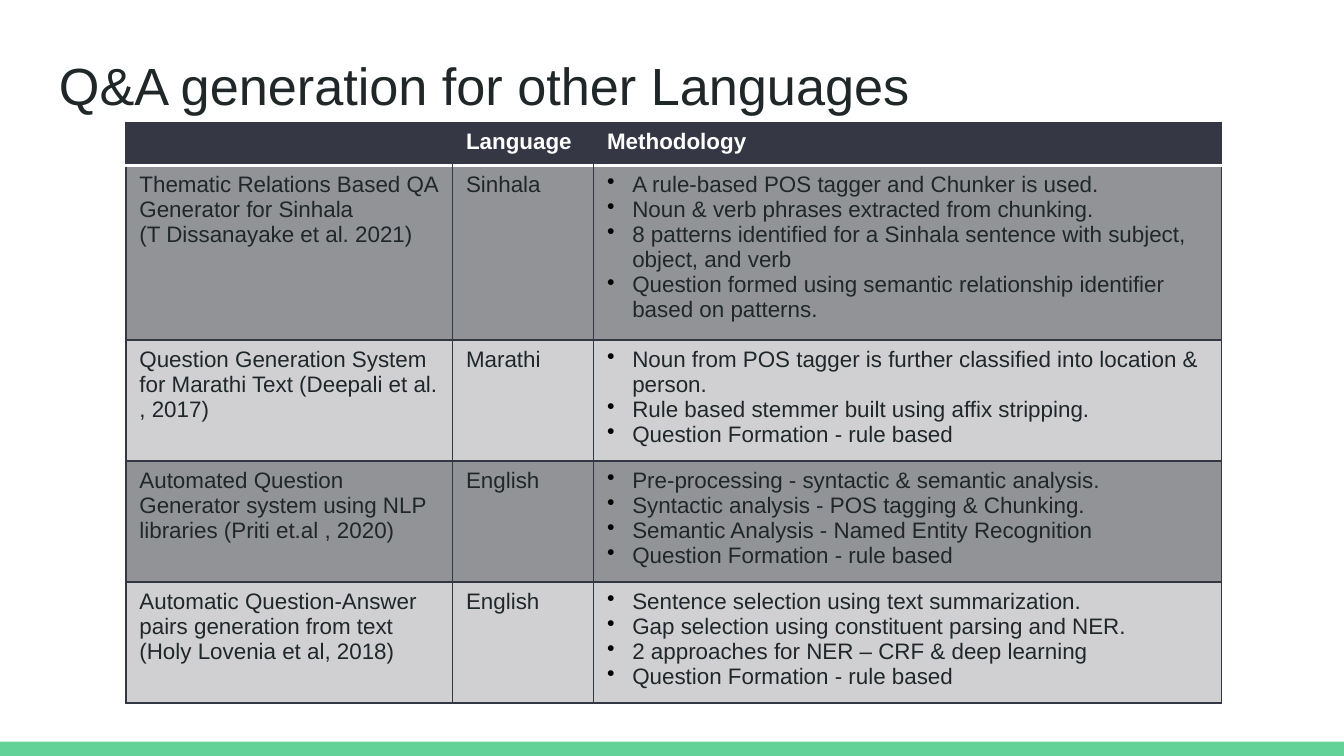
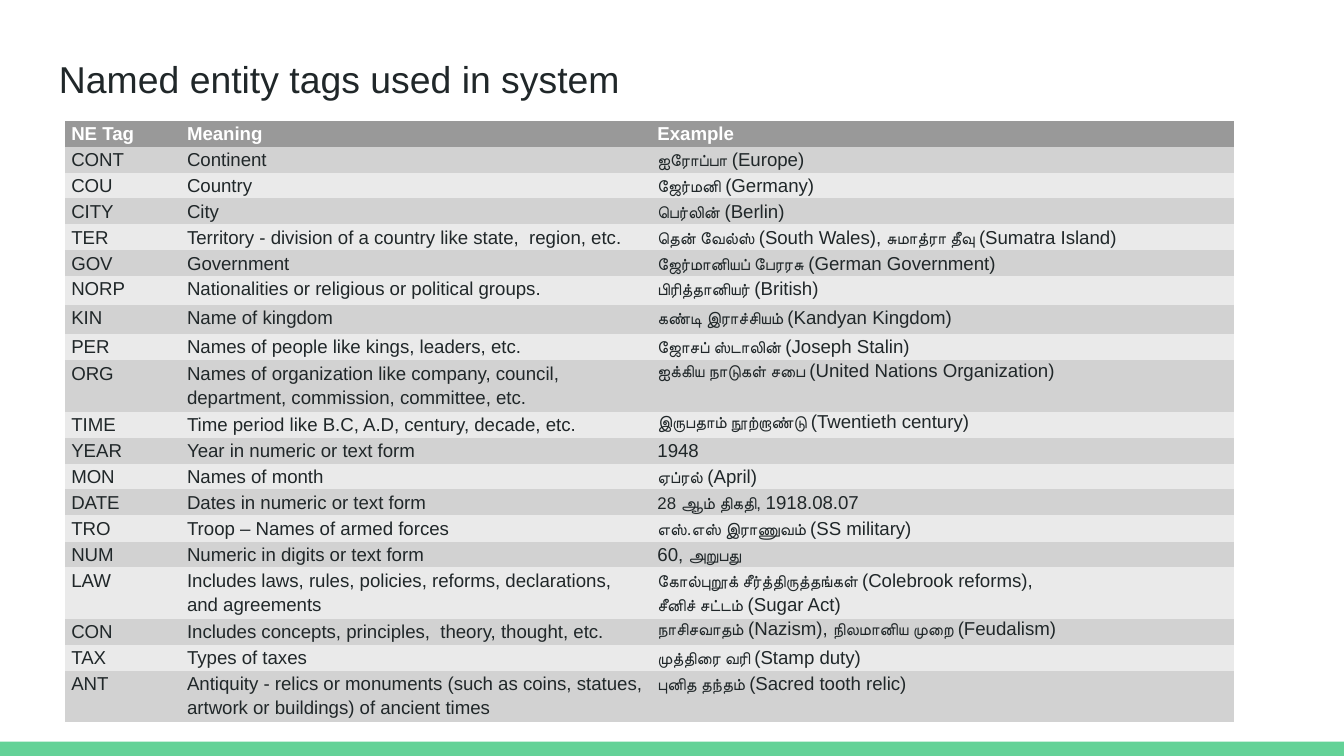
from lxml.etree import SubElement
from pptx import Presentation
from pptx.dml.color import RGBColor
from pptx.enum.shapes import MSO_SHAPE
from pptx.oxml.ns import qn
from pptx.util import Pt

COLORS = {
    "ink": "202729", "white": "FFFFFF", "green": "63D297", "bullet": "000000",
    "border": "333643", "navy": "353744", "navy_mid": "929397", "navy_light": "D0D0D2",
    "gray_head": "999999", "gray_mid": "D2D2D2", "gray_light": "EAEAEA",
}
FONT = "Arial"
PAGE_WIDTH, PAGE_HEIGHT = 720, 405
NO_GRID_STYLE = "{2D5ABB26-0587-4C30-8999-92F81FD0307C}"
TAMIL_SIZE, TAG_SIZE = 9, 10

RELATED_WORK = [
    (["Thematic Relations Based QA Generator for Sinhala", "(T Dissanayake et al. 2021)"],
     "Sinhala",
     ["A rule-based POS tagger and Chunker is used.",
      "Noun & verb phrases extracted from chunking.",
      "8 patterns identified for a Sinhala sentence with subject, object, and verb",
      "Question formed using semantic relationship identifier based on patterns."]),
    (["Question Generation System for Marathi Text (Deepali et al. , 2017)"],
     "Marathi",
     ["Noun from POS tagger is further classified into location & person.",
      "Rule based stemmer built using affix stripping.",
      "Question Formation - rule based"]),
    (["Automated Question Generator system using NLP libraries (Priti et.al , 2020)"],
     "English",
     ["Pre-processing - syntactic & semantic analysis.",
      "Syntactic analysis - POS tagging & Chunking.",
      "Semantic Analysis - Named Entity Recognition",
      "Question Formation - rule based"]),
    (["Automatic Question-Answer pairs generation from text (Holy Lovenia et al, 2018)"],
     "English",
     ["Sentence selection using text summarization.",
      "Gap selection using constituent parsing and NER.",
      "2 approaches for NER – CRF & deep learning",
      "Question Formation - rule based"]),
]

# In examples, "|" switches between the Tamil size and the Latin size
ENTITY_TAGS = [
    ("CONT", "Continent", "ஐரோப்பா| (Europe)"),
    ("COU", "Country", "ஜேர்மனி| (Germany)"),
    ("CITY", "City", "பெர்லின்| (Berlin)"),
    ("TER", "Territory - division of a country like state,  region, etc.",
     "தென் வேல்ஸ் |(South Wales), |சுமாத்ரா தீவு |(Sumatra Island)"),
    ("GOV", "Government", "ஜேர்மானியப் பேரரசு| (German Government)"),
    ("NORP", "Nationalities or religious or political groups.", "பிரித்தானியர்| (British)"),
    ("KIN", "Name of kingdom", "கண்டி இராச்சியம் |(Kandyan Kingdom)"),
    ("PER", "Names of people like kings, leaders, etc.", "ஜோசப் ஸ்டாலின் |(Joseph Stalin)"),
    ("ORG", "Names of organization like company, council, department, commission, "
     "committee, etc.", "ஐக்கிய நாடுகள் சபை |(United Nations Organization)"),
    ("TIME", "Time period like B.C, A.D, century, decade, etc.",
     "இருபதாம் நூற்றாண்டு |(Twentieth century)"),
    ("YEAR", "Year in numeric or text form", "|1948"),
    ("MON", "Names of month", "ஏப்ரல்| (April)"),
    ("DATE", "Dates in numeric or text form", "28 ஆம் திகதி, |1918.08.07"),
    ("TRO", "Troop – Names of armed forces", "எஸ்.எஸ் இராணுவம் |(SS military)"),
    ("NUM", "Numeric in digits or text form", "|60, |அறுபது"),
    ("LAW", "Includes laws, rules, policies, reforms, declarations, and agreements",
     "கோல்புறூக் சீர்த்திருத்தங்கள் |(Colebrook reforms),\nசீனிச் சட்டம்| (Sugar Act)"),
    ("CON", "Includes concepts, principles,  theory, thought, etc.",
     "நாசிசவாதம்| (Nazism), |நிலமானிய முறை |(Feudalism)"),
    ("TAX", "Types of taxes", "முத்திரை வரி |(Stamp duty)"),
    ("ANT", "Antiquity - relics or monuments (such as coins, statues, artwork or buildings) "
     "of ancient times", "புனித தந்தம் |(Sacred tooth relic)"),
]
TAG_ROW_HEIGHT = 12.9
TALL_ROWS = {"NORP": 15.4, "KIN": 15.5, "PER": 14.4, "TRO": 14.1,
             "ORG": 25.8, "LAW": 25.8, "ANT": 25.8}
SINGLE_SPACED = {"ORG", "TIME", "CON"}


def color(name):
    return RGBColor.from_string(COLORS[name])


def style_para(para, size, ink="ink", bold=False):
    para.font.name = FONT
    para.font.size = Pt(size)
    para.font.bold = bold
    para.font.color.rgb = color(ink)
    # The paragraph end sets the height of the last line and of the bullet
    end = SubElement(para._p, qn("a:endParaRPr"), sz=str(size * 100))
    SubElement(end, qn("a:latin"), typeface=FONT)


def write_lines(frame, lines, size, ink="ink", bold=False):
    """Fill a text frame with one paragraph a line and return the paragraphs."""
    frame.text = "\n".join(lines)
    for para in frame.paragraphs:
        style_para(para, size, ink, bold)
    return frame.paragraphs


def fill_solid(target, name):
    target.fill.solid()
    target.fill.fore_color.rgb = color(name)


def add_bullet(para):
    props = para._p.get_or_add_pPr()
    props.set("marL", str(Pt(13.5)))
    props.set("indent", str(-Pt(13.5)))
    bullet_color = SubElement(props, qn("a:buClr"))
    SubElement(bullet_color, qn("a:srgbClr"), val=COLORS["bullet"])
    mark = SubElement(props, qn("a:buChar"), char="•")
    # Bullet settings come before the default run settings
    props.insert(0, bullet_color)
    props.insert(1, mark)


def add_border(cell, side, name, width):
    line = SubElement(cell._tc.get_or_add_tcPr(), qn(f"a:ln{side}"), w=str(Pt(width)))
    if name is None:
        SubElement(line, qn("a:noFill"))
        return
    solid = SubElement(line, qn("a:solidFill"))
    SubElement(solid, qn("a:srgbClr"), val=COLORS[name])


def add_page(deck, title, title_top, title_size):
    """Blank page with the green bottom band and the title."""
    page = deck.slides.add_slide(deck.slide_layouts[6])
    band = page.shapes.add_shape(MSO_SHAPE.RECTANGLE, Pt(0), Pt(PAGE_HEIGHT - 7.7),
                                 Pt(PAGE_WIDTH), Pt(7.7))
    band.shadow.inherit = False
    fill_solid(band, "green")
    band.line.fill.background()

    box = page.shapes.add_textbox(Pt(24.5), Pt(title_top), Pt(671), Pt(45))
    frame = box.text_frame
    frame.word_wrap = True
    frame.margin_left = frame.margin_right = Pt(7.2)
    frame.margin_top = frame.margin_bottom = Pt(7.2)
    write_lines(frame, [title], title_size)
    return page


def add_plain_table(page, left, top, widths, heights):
    """Table without a built-in look, with the given column and row sizes."""
    table = page.shapes.add_table(len(heights), len(widths), Pt(left), Pt(top),
                                  Pt(sum(widths)), Pt(sum(heights))).table
    table._tbl.tblPr.find(qn("a:tableStyleId")).text = NO_GRID_STYLE
    for column, width in zip(table.columns, widths):
        column.width = Pt(width)
    for row, height in zip(table.rows, heights):
        row.height = Pt(height)
    return table


def related_work_table(page, left, top):
    table = add_plain_table(page, left, top, [175, 75.6, 336.2], [23, 91, 63, 63, 63])
    last_column = len(table.columns) - 1

    # Borders and fills
    for row_index, row in enumerate(table.rows):
        is_header = row_index == 0
        for column_index, cell in enumerate(row.cells):
            inner = None if is_header else "border"
            add_border(cell, "L", "border" if column_index == 0 else inner, 0.75)
            add_border(cell, "R", "border" if column_index == last_column else inner, 0.75)
            if row_index == 1:
                add_border(cell, "T", "white", 2)
            else:
                add_border(cell, "T", "border", 0.75)
            add_border(cell, "B", *(("white", 2) if is_header else ("border", 0.75)))
            body_fill = "navy_mid" if row_index % 2 else "navy_light"
            fill_solid(cell, "navy" if is_header else body_fill)

    # Header
    for column_index, heading in enumerate(["", "Language", "Methodology"]):
        write_lines(table.cell(0, column_index).text_frame, [heading], 12, "white", True)

    # Body
    for row_index, (study, language, methods) in enumerate(RELATED_WORK, start=1):
        for column_index, lines in enumerate([study, [language], methods]):
            frame = table.cell(row_index, column_index).text_frame
            paras = write_lines(frame, lines, 12)
            if column_index == last_column:
                for para in paras:
                    add_bullet(para)


def write_example(frame, example):
    """Write Tamil and Latin spans, each in its own size."""
    for index, line in enumerate(example.split("\n")):
        para = frame.add_paragraph() if index else frame.paragraphs[0]
        style_para(para, TAG_SIZE)
        for part_index, part in enumerate(line.split("|")):
            if part:
                span = para.add_run()
                span.text = part
                span.font.size = Pt(TAG_SIZE if part_index % 2 else TAMIL_SIZE)


def entity_tag_table(page, left, top):
    heights = [TAG_ROW_HEIGHT] + [TALL_ROWS.get(tag, TAG_ROW_HEIGHT)
                                  for tag, _, _ in ENTITY_TAGS]
    table = add_plain_table(page, left, top, [62, 252, 312.4], heights)
    rows = [("NE Tag", "Meaning", "Example")] + ENTITY_TAGS
    for row_index, texts in enumerate(rows):
        is_header = row_index == 0
        body_fill = "gray_mid" if row_index % 2 else "gray_light"
        for column_index, text in enumerate(texts):
            cell = table.cell(row_index, column_index)
            cell.margin_left = cell.margin_right = Pt(3.6)
            cell.margin_top = cell.margin_bottom = Pt(0)
            fill_solid(cell, "gray_head" if is_header else body_fill)
            is_example = column_index == 2 and not is_header
            if is_example:
                write_example(cell.text_frame, text)
            else:
                write_lines(cell.text_frame, [text], TAG_SIZE,
                            "white" if is_header else "ink", is_header)
            if not (is_example and texts[0] in SINGLE_SPACED):
                for para in cell.text_frame.paragraphs:
                    para.line_spacing = 1.15


def main():
    deck = Presentation()
    deck.slide_width, deck.slide_height = Pt(PAGE_WIDTH), Pt(PAGE_HEIGHT)

    page = add_page(deck, "Q&A generation for other Languages", 21.6, 28)
    related_work_table(page, 67.5, 65.5)

    page = add_page(deck, "Named entity tags used in system", 23, 20)
    entity_tag_table(page, 34.6, 64.8)

    deck.save("out.pptx")


if __name__ == "__main__":
    main()
